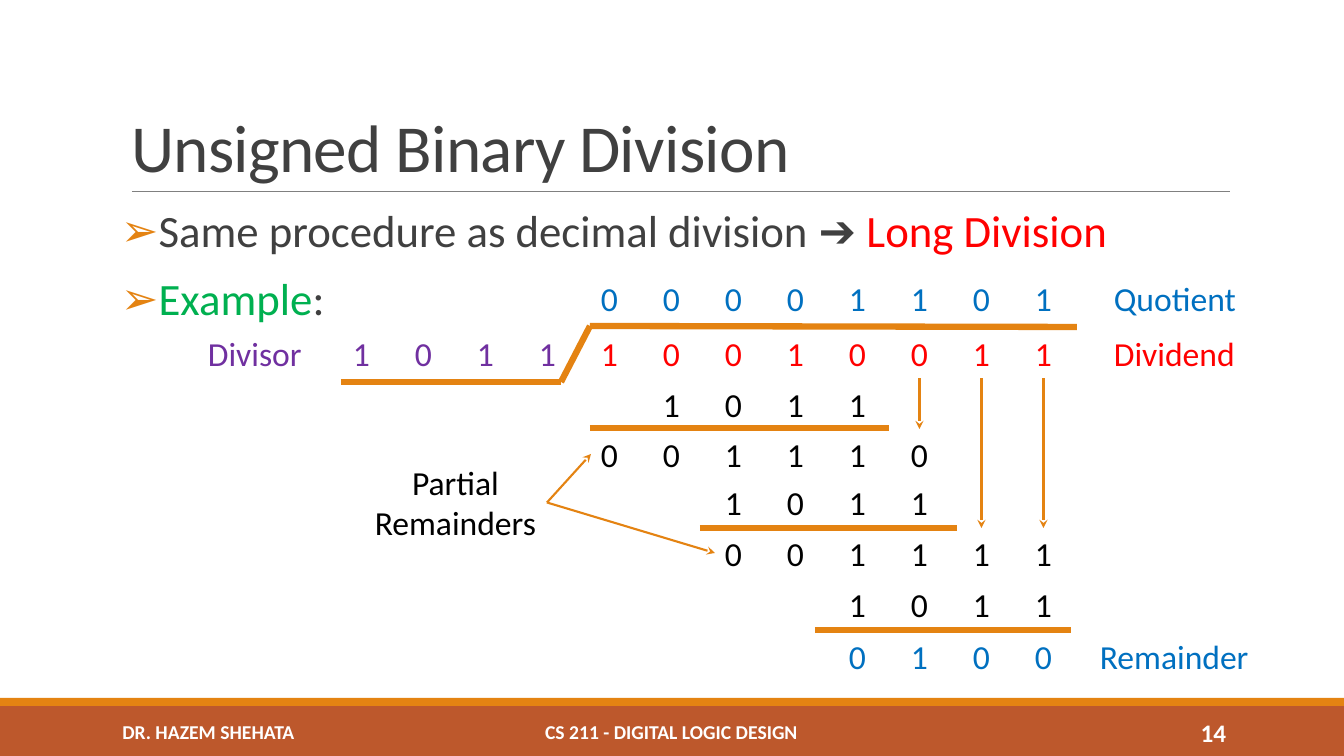
import dataclasses

import lxml.etree
import pptx
import pptx.dml.color
import pptx.enum.shapes
import pptx.enum.text
import pptx.oxml.ns
import pptx.util

PX = 914400 / 100.8
TOP, LEFT, BOTTOM, RIGHT = range(4)
ALIGN = pptx.enum.text.PP_ALIGN
ANCHOR = pptx.enum.text.MSO_ANCHOR
FIT = pptx.enum.text.MSO_AUTO_SIZE
qn = pptx.oxml.ns.qn


@dataclasses.dataclass(frozen=True)
class Theme:
    font: str = "Calibri"
    ink: str = "404040"
    black: str = "000000"
    white: str = "FFFFFF"
    gray: str = "808080"
    orange: str = "E48312"
    rust: str = "BD582C"
    red: str = "FF0000"
    green: str = "00B050"
    blue: str = "0070C0"
    purple: str = "7030A0"
    title: int = 48
    body: int = 32
    digit: int = 24
    page: int = 18
    foot: int = 14


def emu(*px):
    return [round(v * PX) for v in px]


def rgb(code):
    return pptx.dml.color.RGBColor.from_string(code)


def write(para, text, *, font, size, color, bold=False, track=0):
    """Add one formatted run to a paragraph."""
    run = para.add_run()
    run.text = text
    run.font.name = font
    run.font.size = pptx.util.Pt(size)
    run.font.bold = bold
    run.font.color.rgb = rgb(color)
    if track:
        run.font._element.set("spc", str(track))


class Board:
    def __init__(self, slide, theme):
        self.slide, self.theme = slide, theme

    def place(self, shape, *box):
        shape.left, shape.top, shape.width, shape.height = emu(*box)

    def title(self, text, *box):
        shape = self.slide.shapes.title
        self.place(shape, *box)
        frame = shape.text_frame
        frame.vertical_anchor = ANCHOR.BOTTOM
        frame.auto_size = FIT.NONE
        para = frame.paragraphs[0]
        para.alignment = ALIGN.LEFT
        para.line_spacing = 0.85
        t = self.theme
        write(para, text, font=t.font, size=t.title, color=t.ink, track=-50)

    def list(self, items, *box):
        shape = self.slide.placeholders[1]
        self.place(shape, *box)
        frame, t = shape.text_frame, self.theme
        frame.margin_left = frame.margin_right = 0
        frame.auto_size = FIT.NONE
        for i, runs in enumerate(items):
            para = frame.add_paragraph() if i else frame.paragraphs[0]
            para.line_spacing = 0.9
            para.space_before = pptx.util.Pt(12)
            para.space_after = pptx.util.Pt(2)
            # Bullet and hanging indent
            props = para._p.get_or_add_pPr()
            props.set("marL", "91440")
            props.set("indent", "-91440")
            tint = lxml.etree.SubElement(props, qn("a:buClr"))
            lxml.etree.SubElement(tint, qn("a:srgbClr"), val=t.orange)
            lxml.etree.SubElement(props, qn("a:buChar"), char="➢")
            for text, color in runs:
                write(para, text, font=t.font, size=t.body, color=color)

    def label(self, text, *box, color, size=None, align=ALIGN.LEFT):
        shape = self.slide.shapes.add_textbox(*emu(*box))
        frame, t = shape.text_frame, self.theme
        frame.word_wrap = False
        frame.auto_size = FIT.SHAPE_TO_FIT_TEXT
        for i, line in enumerate(text.split("\n")):
            para = frame.add_paragraph() if i else frame.paragraphs[0]
            para.alignment = align
            write(para, line, font=t.font, size=size or t.digit, color=color)
        return shape

    def foot(self, text, *box, size, align=ALIGN.CENTER):
        shape = self.slide.shapes.add_textbox(*emu(*box))
        frame, t = shape.text_frame, self.theme
        frame.word_wrap = True
        frame.vertical_anchor = ANCHOR.MIDDLE
        para = frame.paragraphs[0]
        para.alignment = align
        write(para, text, font=t.font, size=size, color=t.white, bold=True)

    def band(self, *box, color):
        kind = pptx.enum.shapes.MSO_SHAPE.RECTANGLE
        shape = self.slide.shapes.add_shape(kind, *emu(*box))
        shape.shadow.inherit = False
        shape.fill.solid()
        shape.fill.fore_color.rgb = rgb(color)
        shape.line.fill.background()

    def line(self, *ends, color=None, width=4.5):
        kind = pptx.enum.shapes.MSO_CONNECTOR.STRAIGHT
        line = self.slide.shapes.add_connector(kind, *emu(*ends))
        line.line.color.rgb = rgb(color or self.theme.orange)
        line.line.width = pptx.util.Pt(width)
        lxml.etree.SubElement(line._element.spPr, qn("a:effectLst"))
        return line

    def arrow(self, start, side, end, goal):
        line = self.line(0, 0, 0, 0, width=1.5)
        line.begin_connect(start, side)
        line.end_connect(end, goal)
        stroke = line._element.spPr.find(qn("a:ln"))
        lxml.etree.SubElement(stroke, qn("a:tailEnd"), type="stealth")

    def digits(self, bits, col, top, color):
        """Set bits on the column grid; return the boxes by column."""
        return {c: self.label(bit, 591 + 62 * c, top, 37, 50, color=color)
                for c, bit in enumerate(bits, col)}


def main():
    deck = pptx.Presentation()
    deck.slide_width, deck.slide_height = emu(1344, 756)
    t = Theme()
    board = Board(deck.slides.add_slide(deck.slide_layouts[1]), t)

    # Footer bands and heading rule
    board.band(0, 706, 1344, 50, color=t.rust)
    board.band(0, 698, 1344, 8, color=t.orange)
    board.line(132, 191, 1230, 191, color=t.gray, width=0.5)
    board.foot("DR. HAZEM SHEHATA", 24, 712, 369, 40, size=t.foot)
    board.foot("CS 211 - DIGITAL LOGIC DESIGN", 406, 712, 531, 40, size=t.foot)
    board.foot("14", 1092, 712, 144, 40, size=t.page, align=ALIGN.RIGHT)

    # Title and bullets
    board.title("Unsigned Binary Division", 121, 31, 1109, 160)
    board.list([
        [("Same procedure as decimal division ➔ ", t.ink),
         ("Long Division", t.red)],
        [("Example", t.green), (":", t.ink)],
    ], 121, 204, 1109, 444)

    # Long division digits
    board.digits("00001101", 0, 273, t.blue)
    board.digits("1011", -4, 328, t.purple)
    upper = board.digits("10010011", 0, 328, t.red)
    board.digits("1011", 1, 379, t.black)
    first = board.digits("001110", 0, 429, t.black)
    board.digits("1011", 2, 477, t.black)
    second = board.digits("001111", 2, 528, t.black)
    board.digits("1011", 4, 579, t.black)
    board.digits("0100", 4, 631, t.blue)

    # Division bracket and subtraction rules
    for ends in [(590, 326, 1077, 327), (561, 382, 590, 326),
                 (341, 382, 561, 382), (590, 428, 889, 428),
                 (700, 528, 957, 528), (815, 630, 1071, 630)]:
        board.line(*ends)

    # Labels
    board.label("Quotient", 1104, 273, 144, 50, color=t.blue)
    board.label("Dividend", 1104, 328, 143, 50, color=t.red)
    board.label("Divisor", 198, 328, 115, 50, color=t.purple)
    board.label("Remainder", 1090, 631, 170, 50, color=t.blue)
    parts = board.label("Partial\nRemainders", 364, 457, 183, 91,
                        color=t.black, align=ALIGN.CENTER)

    # Arrows: digits brought down, then partial remainders
    for col, row in [(5, first), (6, second), (7, second)]:
        board.arrow(upper[col], BOTTOM, row[col], TOP)
    for digit in (first[0], second[2]):
        board.arrow(parts, RIGHT, digit, LEFT)

    deck.save("out.pptx")


if __name__ == "__main__":
    main()
